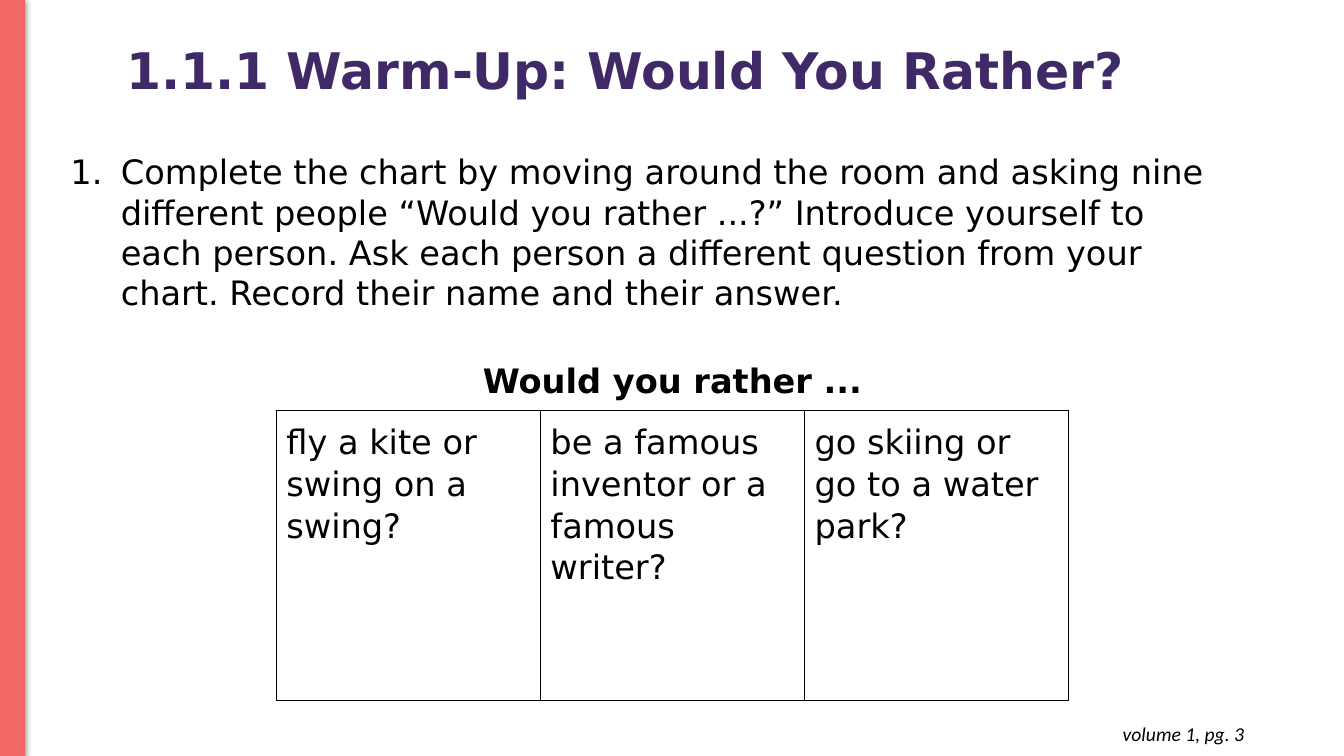
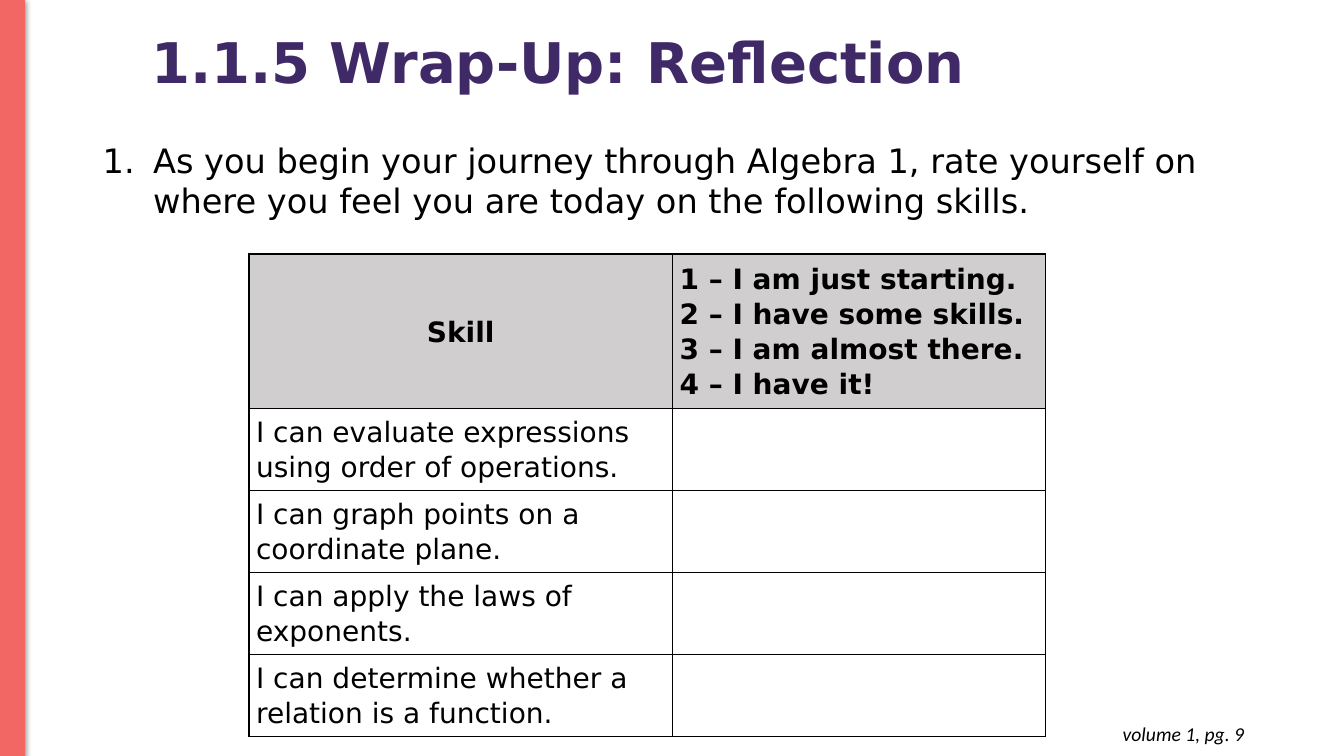
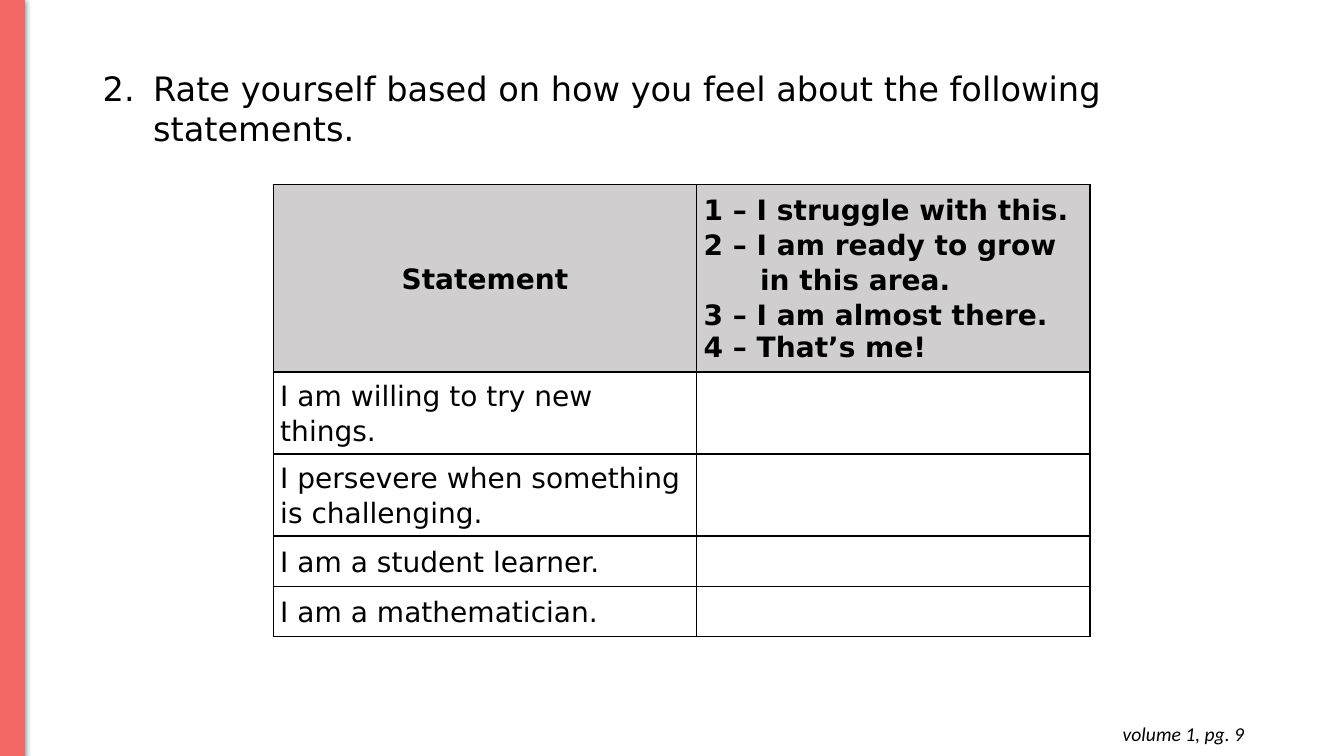
from dataclasses import dataclass

from lxml.etree import SubElement
from pptx import Presentation
from pptx.dml.color import RGBColor
from pptx.enum.shapes import MSO_SHAPE
from pptx.enum.text import MSO_ANCHOR, MSO_AUTO_SIZE, PP_ALIGN
from pptx.oxml.ns import qn
from pptx.util import Inches, Pt


@dataclass(frozen=True)
class Theme:
    coral: str = "F26763"
    purple: str = "3F2A67"
    ink: str = "000000"
    paper: str = "FFFFFF"
    header: str = "D0CECE"
    font: str = "DejaVu Sans"
    footer_font: str = "Calibri"
    body_size: int = 24
    table_size: int = 20
    footer_size: int = 14
    title_spacing: float = 0.9
    table_spacing: float = 1.07
    space_after: int = 8


THEME = Theme()
TITLE_ONLY, BLANK = 5, 6


def rgb(value):
    return RGBColor.from_string(value)


def add_xml(parent, tag, **attributes):
    return SubElement(parent, qn(tag), {key: str(value) for key, value in attributes.items()})


def format_runs(paragraph, size, color=THEME.ink, font=THEME.font, bold=False, italic=False):
    for run in paragraph.runs:
        run.font.size = Pt(size)
        run.font.name = font
        run.font.bold = bold
        run.font.italic = italic
        run.font.color.rgb = rgb(color)


def set_insets(box, horizontal, vertical):
    box.margin_left = box.margin_right = Inches(horizontal)
    box.margin_top = box.margin_bottom = Inches(vertical)


def add_frame(slide, left, top, width, height, horizontal=0.1, vertical=0.05):
    box = slide.shapes.add_textbox(Inches(left), Inches(top), Inches(width), Inches(height))
    frame = box.text_frame
    frame.word_wrap = True
    frame.auto_size = MSO_AUTO_SIZE.SHAPE_TO_FIT_TEXT
    set_insets(frame, horizontal, vertical)
    return frame


def add_accent_band(slide):
    band = slide.shapes.add_shape(
        MSO_SHAPE.RECTANGLE, 0, Inches(-0.01), Inches(0.24), Inches(7.51))
    band.fill.solid()
    band.fill.fore_color.rgb = rgb(THEME.coral)
    band.line.color.rgb = rgb(THEME.coral)
    band.line.width = Pt(0.75)
    band.shadow.inherit = False
    effects = band._element.spPr.find(qn("a:effectLst"))
    shadow = add_xml(effects, "a:outerShdw", blurRad=Pt(4.5), dist=Pt(1.5),
                     dir=90 * 60000, rotWithShape=0)
    color = add_xml(shadow, "a:srgbClr", val=THEME.ink)
    add_xml(color, "a:alpha", val=50000)


def add_page_reference(slide, page):
    frame = add_frame(slide, 9.56, 7.06, 2.88, 0.44, vertical=0.1)
    frame.text = f"volume 1, pg. {page}"
    reference = frame.paragraphs[0]
    reference.alignment = PP_ALIGN.RIGHT
    format_runs(reference, THEME.footer_size, font=THEME.footer_font, italic=True)


def add_page(deck, layout, page):
    slide = deck.slides.add_slide(deck.slide_layouts[layout])
    add_accent_band(slide)
    add_page_reference(slide, page)
    return slide


def set_title(slide, text, size, left, top, width, height):
    title = slide.shapes.title
    title.left, title.top = Inches(left), Inches(top)
    title.width, title.height = Inches(width), Inches(height)
    frame = title.text_frame
    frame.text = text
    frame.word_wrap = True
    frame.auto_size = MSO_AUTO_SIZE.NONE
    frame.vertical_anchor = MSO_ANCHOR.MIDDLE
    set_insets(frame, 0.1, 0.05)
    heading = frame.paragraphs[0]
    heading.alignment = PP_ALIGN.LEFT
    heading.line_spacing = THEME.title_spacing
    format_runs(heading, size, THEME.purple, bold=True)


def add_instruction(slide, number, text, left, top, width, height):
    frame = add_frame(slide, left, top, width, height)
    frame.text = text
    instruction = frame.paragraphs[0]
    properties = instruction._p.get_or_add_pPr()
    properties.set("marL", str(Inches(0.5)))
    properties.set("indent", str(Inches(-0.5)))
    add_xml(add_xml(properties, "a:buClr"), "a:srgbClr", val=THEME.ink)
    add_xml(properties, "a:buAutoNum", type="arabicPeriod", startAt=number)
    format_runs(instruction, THEME.body_size)


def set_borders(cell):
    properties = cell._tc.get_or_add_tcPr()
    for position, side in enumerate(("a:lnL", "a:lnR", "a:lnT", "a:lnB")):
        border = add_xml(properties, side, w=Pt(1))
        add_xml(add_xml(border, "a:solidFill"), "a:srgbClr", val=THEME.ink)
        properties.insert(position, border)


def fill_cell(cell, text, size, bold=False, centered=False):
    cell.text_frame.text = text
    for paragraph in cell.text_frame.paragraphs:
        paragraph.line_spacing = THEME.table_spacing
        paragraph.alignment = PP_ALIGN.CENTER if centered else PP_ALIGN.LEFT
        format_runs(paragraph, size, bold=bold)
    paragraph.space_after = Pt(THEME.space_after)


def add_grid(slide, left, top, widths, heights):
    table = slide.shapes.add_table(
        len(heights), len(widths), Inches(left), Inches(top),
        Inches(sum(widths)), Inches(sum(heights))).table
    table.first_row = table.horz_banding = False
    for column, width in zip(table.columns, widths):
        column.width = Inches(width)
    for row, height in zip(table.rows, heights):
        row.height = Inches(height)
    for cell in table.iter_cells():
        cell.fill.solid()
        cell.fill.fore_color.rgb = rgb(THEME.paper)
    return table


def add_question_table(slide, heading, questions):
    table = add_grid(slide, 2.74, 3.57, [2.62] * len(questions), [0.5, 2.88])
    caption = table.cell(0, 0)
    caption.merge(table.cell(0, len(questions) - 1))
    set_insets(caption, 0, 0)
    fill_cell(caption, heading, THEME.body_size, bold=True, centered=True)
    for column, question in enumerate(questions):
        cell = table.cell(1, column)
        set_insets(cell, 0.1, 0.1)
        fill_cell(cell, question, THEME.body_size)
        set_borders(cell)


def add_rating_table(slide, left, top, widths, heights, heading, scale, statements):
    table = add_grid(slide, left, top, widths, heights)
    for cell in table.iter_cells():
        set_insets(cell, 0.07, 0.05)
        cell.vertical_anchor = MSO_ANCHOR.MIDDLE
        set_borders(cell)
    heading_cell, scale_cell = table.cell(0, 0), table.cell(0, 1)
    for cell in (heading_cell, scale_cell):
        cell.fill.fore_color.rgb = rgb(THEME.header)
    fill_cell(heading_cell, heading, THEME.table_size, bold=True, centered=True)
    fill_cell(scale_cell, "\n".join(scale), THEME.table_size, bold=True)
    for row, statement in enumerate(statements, start=1):
        fill_cell(table.cell(row, 0), statement, THEME.table_size)
    return scale_cell.text_frame.paragraphs


def add_tab_stop(paragraph, position):
    stops = add_xml(paragraph._p.get_or_add_pPr(), "a:tabLst")
    add_xml(stops, "a:tab", pos=Inches(position), algn="l")


def build_warm_up(deck):
    slide = add_page(deck, TITLE_ONLY, 3)
    set_title(slide, "1.1.1 Warm-Up: Would You Rather?", 36, 1.15, 0, 10.35, 1.45)
    add_instruction(
        slide, 1,
        "Complete the chart by moving around the room and asking nine different people "
        "“Would you rather ...?” Introduce yourself to each person. Ask each person a "
        "different question from your chart. Record their name and their answer.",
        0.6, 1.45, 11.47, 2.12)
    add_question_table(slide, "Would you rather ...", [
        "fly a kite or swing on a swing?",
        "be a famous inventor or a famous writer?",
        "go skiing or go to a water park?",
    ])


def build_skill_reflection(deck):
    slide = add_page(deck, TITLE_ONLY, 9)
    set_title(slide, "1.1.5 Wrap-Up: Reflection", 40, 1.4, 0.29, 8.77, 0.72)
    add_instruction(
        slide, 1,
        "As you begin your journey through Algebra 1, rate yourself on where you feel "
        "you are today on the following skills.",
        0.92, 1.34, 11.79, 0.91)
    add_rating_table(
        slide, 2.47, 2.52, [4.2, 3.7], [1.53] + [0.81] * 4, "Skill",
        ["1 – I am just starting.", "2 – I have some skills.",
         "3 – I am almost there.", "4 – I have it!"],
        ["I can evaluate expressions using order of operations.",
         "I can graph points on a coordinate plane.",
         "I can apply the laws of exponents.",
         "I can determine whether a relation is a function."])


def build_statement_reflection(deck):
    slide = add_page(deck, BLANK, 9)
    add_instruction(
        slide, 2, "Rate yourself based on how you feel about the following statements.",
        0.92, 0.62, 11.68, 0.91)
    ratings = add_rating_table(
        slide, 2.71, 1.83, [4.2, 3.9], [1.86, 0.81, 0.81, 0.5, 0.5], "Statement",
        ["1 – I struggle with this.", "2 – I am ready to grow\v\tin this area.",
         "3 – I am almost there.", "4 – That’s me!"],
        ["I am willing to try new things.",
         "I persevere when something is challenging.",
         "I am a student learner.",
         "I am a mathematician."])
    add_tab_stop(ratings[1], 0.56)
    ratings[-1].line_spacing = 1.0


def main():
    deck = Presentation()
    deck.slide_width, deck.slide_height = Inches(13.33), Inches(7.5)
    build_warm_up(deck)
    build_skill_reflection(deck)
    build_statement_reflection(deck)
    deck.save("out.pptx")


if __name__ == "__main__":
    main()
